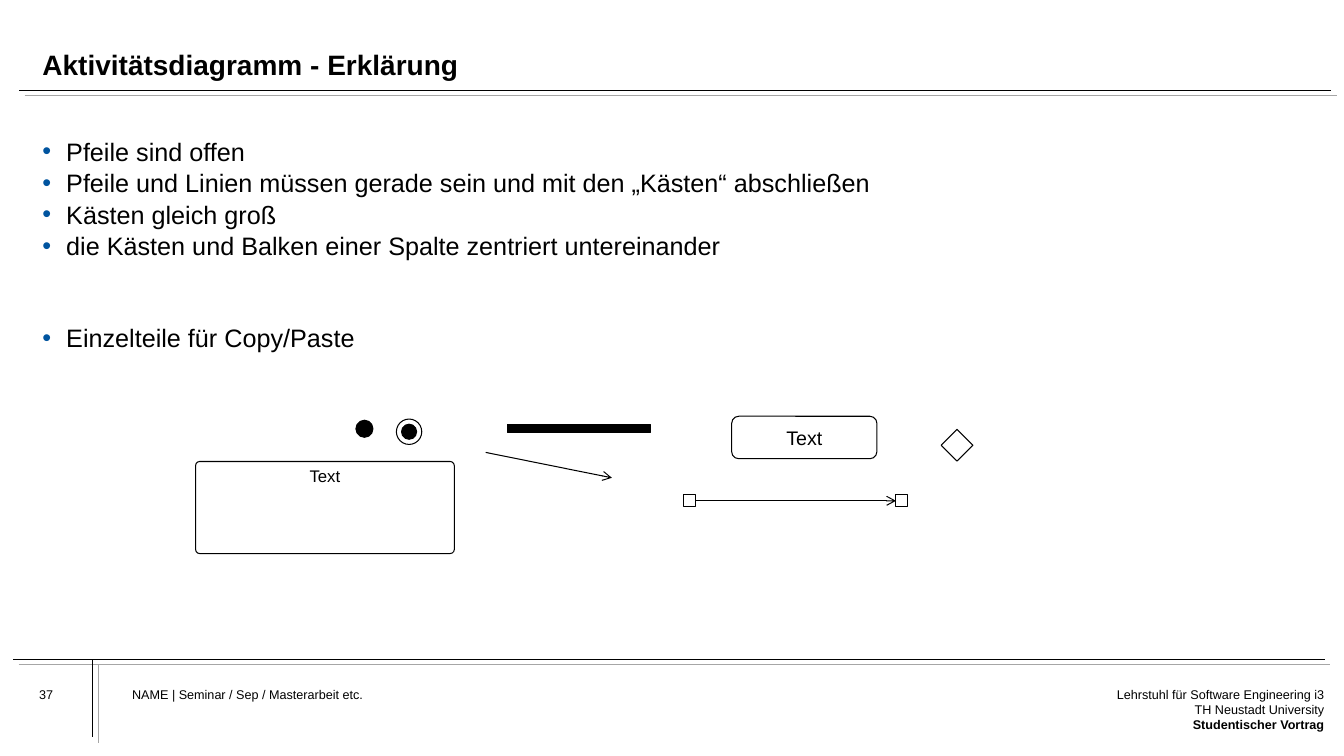
from lxml.etree import SubElement
from pptx import Presentation
from pptx.dml.color import RGBColor
from pptx.enum.shapes import MSO_CONNECTOR, MSO_SHAPE
from pptx.enum.text import MSO_ANCHOR, PP_ALIGN
from pptx.oxml.ns import qn
from pptx.util import Cm, Pt

BLACK = RGBColor(0x00, 0x00, 0x00)
WHITE = RGBColor(0xFF, 0xFF, 0xFF)
GREY = RGBColor(0xA6, 0xA6, 0xA6)
BLUE = RGBColor(0x00, 0x54, 0x9F)
FONT = "Arial"
SHADE_OFFSET = 0.14

RULES = [
    (0.48, 2.27, 33.55, 2.27),
    (0.33, 16.61, 33.38, 16.61),
    (2.34, 16.61, 2.34, 18.57),
]
BULLETS = [
    "Pfeile sind offen",
    "Pfeile und Linien müssen gerade sein und mit den „Kästen“ abschließen",
    "Kästen gleich groß",
    "die Kästen und Balken einer Spalte zentriert untereinander",
    "Einzelteile für Copy/Paste",
]
CHAIR = [
    "Lehrstuhl für Software Engineering i3",
    "TH Neustadt University",
    "Studentischer Vortrag",
]


def format_runs(p, size, bold=False):
    for r in p.runs:
        r.font.name = FONT
        r.font.size = Pt(size)
        r.font.bold = bold
        r.font.color.rgb = BLACK


def add_text(slide, x, y, w, h, lines, size, bold=False, align=PP_ALIGN.LEFT):
    tf = slide.shapes.add_textbox(Cm(x), Cm(y), Cm(w), Cm(h)).text_frame
    tf.word_wrap = True
    tf.margin_left = tf.margin_right = tf.margin_top = tf.margin_bottom = 0
    tf.text = "\n".join(lines)
    for p in tf.paragraphs:
        p.alignment = align
        format_runs(p, size, bold)
    return tf


def add_bullet(p):
    pPr = p._p.get_or_add_pPr()
    pPr.set("marL", str(Cm(0.6)))
    pPr.set("indent", str(Cm(-0.6)))
    color = SubElement(pPr, qn("a:buClr"))
    SubElement(color, qn("a:srgbClr"), val=str(BLUE))
    SubElement(pPr, qn("a:buFont"), typeface=FONT)
    SubElement(pPr, qn("a:buChar"), char="•")


def add_line(slide, x1, y1, x2, y2, color=BLACK, width=0.75, arrow=False):
    line = slide.shapes.add_connector(
        MSO_CONNECTOR.STRAIGHT, Cm(x1), Cm(y1), Cm(x2), Cm(y2))
    line.line.color.rgb = color
    line.line.width = Pt(width)
    if arrow:
        SubElement(line.line._get_or_add_ln(), qn("a:tailEnd"), type="arrow")
    SubElement(line._element.spPr, qn("a:effectLst"))
    return line


def add_double_rule(slide, x1, y1, x2, y2):
    """Draw a thin black rule with a grey one shifted down and right."""
    add_line(slide, x1, y1, x2, y2, BLACK, 0.5)
    add_line(slide, *(v + SHADE_OFFSET for v in (x1, y1, x2, y2)), GREY, 0.5)


def add_node(slide, kind, x, y, w, h, fill=None):
    sp = slide.shapes.add_shape(kind, Cm(x), Cm(y), Cm(w), Cm(h))
    sp.shadow.inherit = False
    sp.line.color.rgb = BLACK
    sp.line.width = Pt(0.75)
    if fill is None:
        sp.fill.background()
    else:
        sp.fill.solid()
        sp.fill.fore_color.rgb = fill
    return sp


def add_rounded_box(slide, x, y, w, h, radius, size, anchor, fill=None):
    sp = add_node(slide, MSO_SHAPE.ROUNDED_RECTANGLE, x, y, w, h, fill)
    sp.adjustments[0] = radius
    tf = sp.text_frame
    tf.word_wrap = False
    tf.vertical_anchor = anchor
    tf.margin_top = tf.margin_bottom = Cm(0.08)
    tf.text = "Text"
    tf.paragraphs[0].alignment = PP_ALIGN.CENTER
    format_runs(tf.paragraphs[0], size)


def add_frame(slide):
    for rule in RULES:
        add_double_rule(slide, *rule)
    add_text(slide, 0.99, 17.3, 2.03, 1.09, ["37"], 9)
    add_text(slide, 3.33, 17.3, 19.46, 1.75,
             ["NAME | Seminar / Sep / Masterarbeit etc."], 9)
    chair = add_text(slide, 27.91, 17.3, 5.46, 1.75, CHAIR, 9,
                     align=PP_ALIGN.RIGHT)
    format_runs(chair.paragraphs[-1], 9, bold=True)


def add_content(slide):
    title = add_text(slide, 1.07, 0.56, 31.9, 1.5,
                     ["Aktivitätsdiagramm - Erklärung"], 20, bold=True)
    title.vertical_anchor = MSO_ANCHOR.BOTTOM
    title.paragraphs[0].line_spacing = 0.9
    body = add_text(slide, 1.07, 3.43, 31.9, 12.19, BULLETS, 18)
    for p in body.paragraphs:
        p.space_after = Pt(0.9)
        add_bullet(p)
    body.paragraphs[-1].space_before = Pt(43)


def add_diagram_parts(slide):
    add_node(slide, MSO_SHAPE.OVAL, 8.97, 10.59, 0.43, 0.43, BLACK)
    add_node(slide, MSO_SHAPE.OVAL, 9.99, 10.56, 0.64, 0.64)
    add_node(slide, MSO_SHAPE.OVAL, 10.12, 10.69, 0.38, 0.38, BLACK)
    add_node(slide, MSO_SHAPE.RECTANGLE, 12.78, 10.7, 3.61, 0.2, BLACK)
    add_node(slide, MSO_SHAPE.FLOWCHART_DECISION, 23.72, 10.82, 0.8, 0.8, WHITE)
    add_rounded_box(slide, 18.44, 10.49, 3.66, 1.07, 0.167, 14,
                    MSO_ANCHOR.MIDDLE, WHITE)
    add_rounded_box(slide, 4.93, 11.63, 6.52, 2.32, 0.044, 12, MSO_ANCHOR.TOP)
    add_line(slide, 12.24, 11.4, 15.42, 12.04, arrow=True)

    start, end = (add_node(slide, MSO_SHAPE.RECTANGLE, x, 12.47, 0.3, 0.3, WHITE)
                  for x in (17.22, 22.58))
    flow = add_line(slide, 17.52, 12.62, 22.58, 12.62, arrow=True)
    flow.begin_connect(start, 3)
    flow.end_connect(end, 1)


def main():
    prs = Presentation()
    prs.slide_width, prs.slide_height = Cm(33.87), Cm(19.05)
    slide = prs.slides.add_slide(prs.slide_layouts[6])
    add_frame(slide)
    add_content(slide)
    add_diagram_parts(slide)
    prs.save("out.pptx")


if __name__ == "__main__":
    main()
